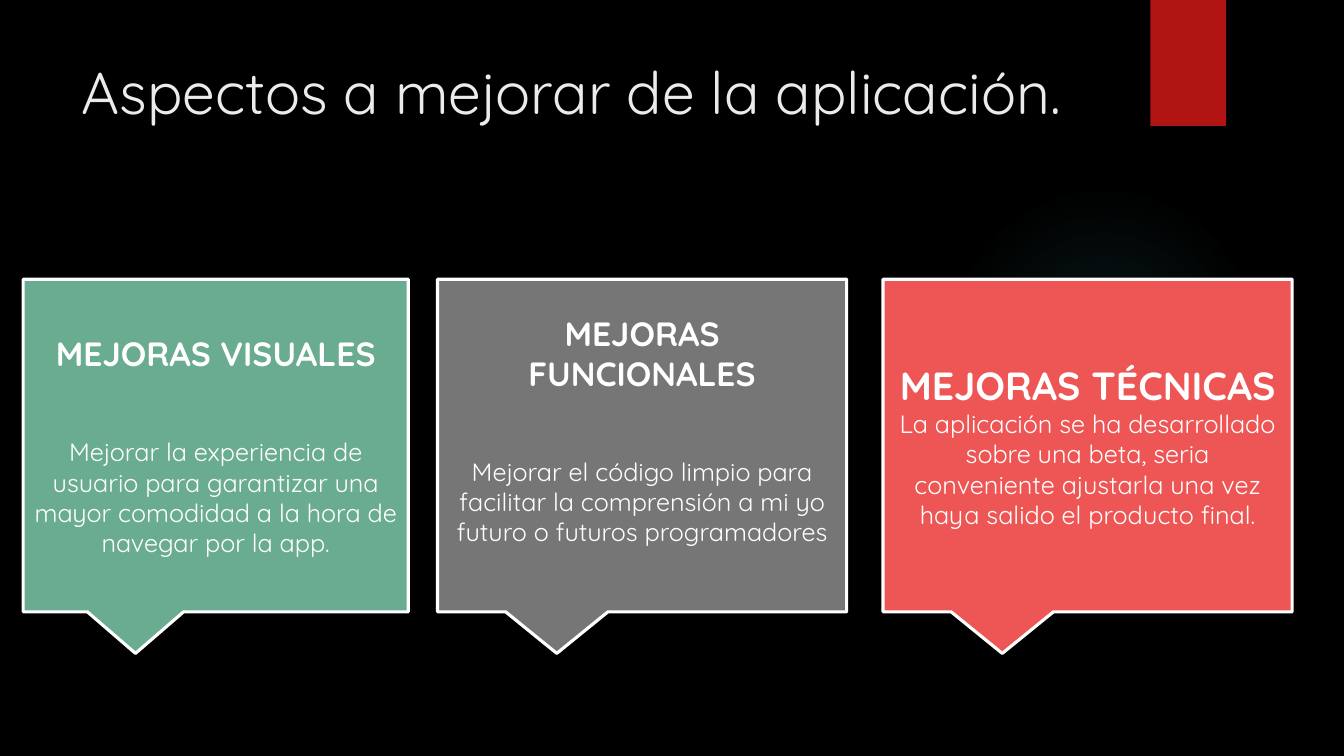
import pptx
import pptx.dml.color
import pptx.enum.shapes
import pptx.enum.text
import pptx.oxml
import pptx.oxml.ns
import pptx.util

Pt = pptx.util.Pt
SHAPES = pptx.enum.shapes.MSO_SHAPE
ANCHOR = pptx.enum.text.MSO_ANCHOR
ALIGN = pptx.enum.text.PP_ALIGN

# Content
FONT = "Quicksand"
COLORS = {
    "background": "000000", "glow": "50B9C1", "ribbon": "B01513",
    "title": "EBEBEB", "white": "FFFFFF",
    "green": "6AAC90", "gray": "767676", "red": "ED5654",
}
TITLE = "Aspectos a mejorar de la aplicación."
# left, width, color, heading, heading size, gap below heading, bottom inset, body
IMPROVEMENTS = [
    (16.56, 275.04, "green", "MEJORAS VISUALES", 24, 45, 3.6,
     "Mejorar la experiencia de usuario para garantizar una mayor comodidad "
     "a la hora de navegar por la app."),
    (312.48, 292.32, "gray", "MEJORAS FUNCIONALES", 24, 45, 26.1,
     "Mejorar el código limpio para facilitar la comprensión a mi yo futuro "
     "o futuros programadores"),
    (630.72, 292.32, "red", "MEJORAS TÉCNICAS", 28, 0, 3.6,
     "La aplicación se ha desarrollado sobre una beta, seria conveniente "
     "ajustarla una vez haya salido el producto final."),
]
CARD_TOP, CARD_HEIGHT = 199.44, 237.6
BODY_SIZE = 18
GLOW_STOPS = [(0, 7), (36, 6), (69, 0)]  # position %, opacity %


def rgb(name):
    return pptx.dml.color.RGBColor.from_string(COLORS[name])


def add_shape(slide, kind, box, color=None):
    shape = slide.shapes.add_shape(kind, *(Pt(length) for length in box))
    shape.shadow.inherit = False
    shape.line.fill.background()
    if color:
        shape.fill.solid()
        shape.fill.fore_color.rgb = rgb(color)
    else:
        shape.fill.background()
    return shape


def add_run(paragraph, text, size, color, bold=False):
    run = paragraph.add_run()
    run.text = text
    run.font.name = FONT
    run.font.size = Pt(size)
    run.font.bold = bold
    run.font.color.rgb = rgb(color)


def add_glow(slide):
    glow = add_shape(slide, SHAPES.OVAL, (677.5, 131.8, 221.8, 221.8))
    stops = "".join(
        f'<a:gs pos="{position * 1000}"><a:srgbClr val="{COLORS["glow"]}">'
        f'<a:alpha val="{opacity * 1000}"/></a:srgbClr></a:gs>'
        for position, opacity in GLOW_STOPS)
    gradient = pptx.oxml.parse_xml(
        f'<a:gradFill {pptx.oxml.ns.nsdecls("a")}><a:gsLst>{stops}</a:gsLst>'
        '<a:path path="circle"><a:fillToRect l="50000" t="50000" r="50000" b="50000"/>'
        '</a:path></a:gradFill>')
    properties = glow.element.spPr
    properties.replace(properties.find(pptx.oxml.ns.qn("a:noFill")), gradient)


def add_card(slide, left, width, color, heading, heading_size, gap, bottom_inset, body):
    card = add_shape(slide, SHAPES.RECTANGULAR_CALLOUT,
                     (left, CARD_TOP, width, CARD_HEIGHT), color)
    card.line.color.rgb = rgb("white")
    card.line.width = Pt(2.25)
    frame = card.text_frame
    frame.word_wrap = True
    frame.vertical_anchor = ANCHOR.MIDDLE
    frame.margin_bottom = Pt(bottom_inset)
    heading_line = frame.paragraphs[0]
    heading_line.space_after = Pt(gap)
    add_run(heading_line, heading, heading_size, "white", True)
    add_run(frame.add_paragraph(), body, BODY_SIZE, "white")
    for paragraph in frame.paragraphs:
        paragraph.alignment = ALIGN.CENTER


def main():
    deck = pptx.Presentation()
    deck.slide_width, deck.slide_height = Pt(960), Pt(540)
    slide = deck.slides.add_slide(deck.slide_layouts[6])

    # Backdrop
    slide.background.fill.solid()
    slide.background.fill.fore_color.rgb = rgb("background")
    add_glow(slide)
    add_shape(slide, SHAPES.RECTANGLE, (821.8, 0, 54, 90), "ribbon")

    # Title
    title = slide.shapes.add_textbox(Pt(51.1), Pt(36), Pt(740.9), Pt(110.2)).text_frame
    title.word_wrap = True
    title.vertical_anchor = ANCHOR.TOP
    add_run(title.paragraphs[0], TITLE, 42, "title")

    # Improvement callouts
    for improvement in IMPROVEMENTS:
        add_card(slide, *improvement)

    deck.save("out.pptx")


if __name__ == "__main__":
    main()
